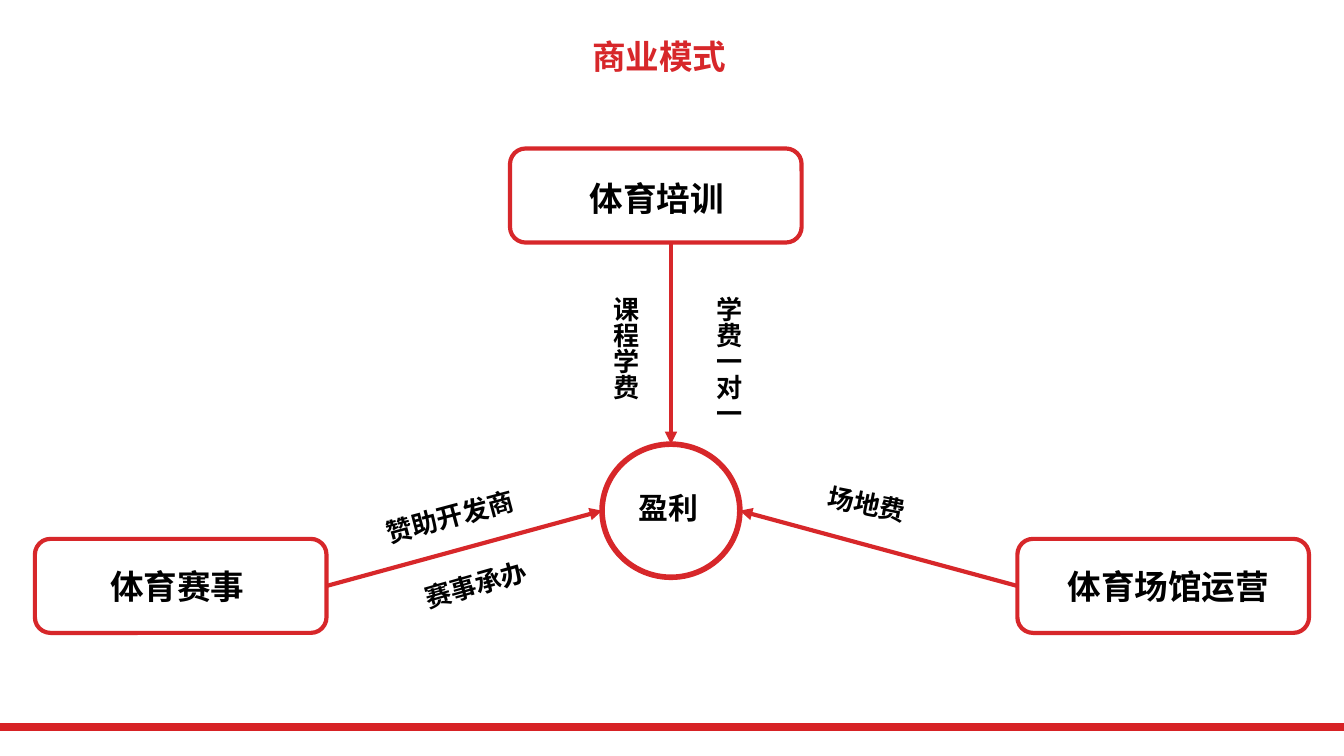
from lxml.etree import SubElement
from pptx import Presentation
from pptx.dml.color import RGBColor
from pptx.enum.shapes import MSO_CONNECTOR, MSO_SHAPE
from pptx.enum.text import MSO_ANCHOR, MSO_AUTO_SIZE, PP_ALIGN
from pptx.oxml.ns import qn
from pptx.util import Inches, Pt

RED = RGBColor(0xD7, 0x27, 0x2A)
BAR_RED = RGBColor(0xD7, 0x22, 0x25)
BLACK = RGBColor(0, 0, 0)
FONT = "Noto Sans CJK SC"

# Widescreen slide, 16:9
presentation = Presentation()
presentation.slide_width = Inches(10)
presentation.slide_height = presentation.slide_width * 9 // 16
slide = presentation.slides.add_slide(presentation.slide_layouts[5])

# Square grid: 100 columns across the slide, rows of the same size
CELL = presentation.slide_width // 100


def write(text, left, top, width, height, size=18, color=BLACK, rotation=0,
          vertical=False, align=PP_ALIGN.LEFT, anchor=MSO_ANCHOR.TOP, shape=None):
    """Put bold text on the grid, in a new text box or in the given shape."""
    box = [int(cells * CELL) for cells in (left, top, width, height)]
    if shape is None:
        shape = slide.shapes.add_textbox(*box)
    shape.left, shape.top, shape.width, shape.height = box
    shape.rotation = rotation
    frame = shape.text_frame
    frame.word_wrap = True
    frame.auto_size = MSO_AUTO_SIZE.SHAPE_TO_FIT_TEXT
    frame.vertical_anchor = anchor
    if vertical:
        frame._txBody.bodyPr.set("vert", "eaVert")
    paragraph = frame.paragraphs[0]
    paragraph.alignment = align
    run = paragraph.add_run()
    run.text = text
    run.font.name = FONT
    run.font.size = Pt(size)
    run.font.bold = True
    run.font.color.rgb = color
    SubElement(run.font._element, qn("a:ea")).set("typeface", FONT)


def draw_line(start, end, color=RED, weight=2.25, arrow=True):
    """Draw a straight line between two grid points."""
    line = slide.shapes.add_connector(
        MSO_CONNECTOR.STRAIGHT, *[int(cells * CELL) for cells in (*start, *end)])
    line.line.color.rgb = color
    line.line.width = Pt(weight)
    if arrow:
        SubElement(line.line._get_or_add_ln(), qn("a:tailEnd")).set("type", "triangle")
    SubElement(line._element.spPr, qn("a:effectLst"))
    return line


# Title
write("商业模式", 35.35, 2.15, 27.4, 4, color=RED, align=PP_ALIGN.CENTER,
      anchor=MSO_ANCHOR.MIDDLE, shape=slide.shapes.title)

# Three business boxes and the profit circle
BOX_WIDTH, BOX_HEIGHT = 21.7, 7
SIDE_TOP, MARGIN = 40.1, 2.6
RIGHT_BOX = 100 - MARGIN - BOX_WIDTH
CIRCLE_LEFT, CIRCLE_TOP, CIRCLE_WIDTH, CIRCLE_HEIGHT = 44.8, 33.05, 10.25, 9.9
outlines = []
for kind, left, top, width, height, weight in [
    (MSO_SHAPE.ROUNDED_RECTANGLE, 37.95, 11.05, BOX_WIDTH, BOX_HEIGHT, 2.25),
    (MSO_SHAPE.ROUNDED_RECTANGLE, MARGIN, SIDE_TOP, BOX_WIDTH, BOX_HEIGHT, 2.25),
    (MSO_SHAPE.ROUNDED_RECTANGLE, RIGHT_BOX, SIDE_TOP, BOX_WIDTH, BOX_HEIGHT, 2.25),
    (MSO_SHAPE.OVAL, CIRCLE_LEFT, CIRCLE_TOP, CIRCLE_WIDTH, CIRCLE_HEIGHT, 3),
]:
    outline = slide.shapes.add_shape(
        kind, *[int(cells * CELL) for cells in (left, top, width, height)])
    outline.shadow.inherit = False
    outline.fill.background()
    outline.line.color.rgb = RED
    outline.line.width = Pt(weight)
    outlines.append(outline)
training_box, events_box, venues_box, profit_circle = outlines

write("体育培训", 42.9, 12.75, 12.3, 4)
write("体育赛事", 7.2, 41.65, 13.1, 4)
write("体育场馆运营", 78.45, 41.65, 17.9, 4)
write("盈利", 46.55, 35.95, 7.8, 3.7, size=16)

# Arrows from the boxes to the circle
center_x = CIRCLE_LEFT + CIRCLE_WIDTH / 2
center_y = CIRCLE_TOP + CIRCLE_HEIGHT / 2
side_middle = SIDE_TOP + BOX_HEIGHT / 2
events_arrow = draw_line((MARGIN + BOX_WIDTH, side_middle), (CIRCLE_LEFT, center_y))
events_arrow.begin_connect(events_box, 3)
draw_line((center_x, 18), (center_x, CIRCLE_TOP))
venues_arrow = draw_line((RIGHT_BOX, side_middle), (CIRCLE_LEFT + CIRCLE_WIDTH, center_y))
venues_arrow.begin_connect(venues_box, 1)

# Income labels beside the arrows
for text, left in [("课程学费", 44), ("学费一对一", 51.7)]:
    write(text, left, 21.05, 4.2, 13.4, size=14, vertical=True)
for text, left, top, rotation in [
    ("赞助开发商", 27.5, 35.9, 345),
    ("赛事承办", 30.35, 40.65, 344),
    ("场地费", 60.5, 36.85, 11.1),
]:
    write(text, left, top, 18.3, 3.4, size=14, rotation=rotation)

# Bottom bar
draw_line((0, 54.1), (100, 54.1), color=BAR_RED, weight=4.5, arrow=False)

presentation.save("out.pptx")
